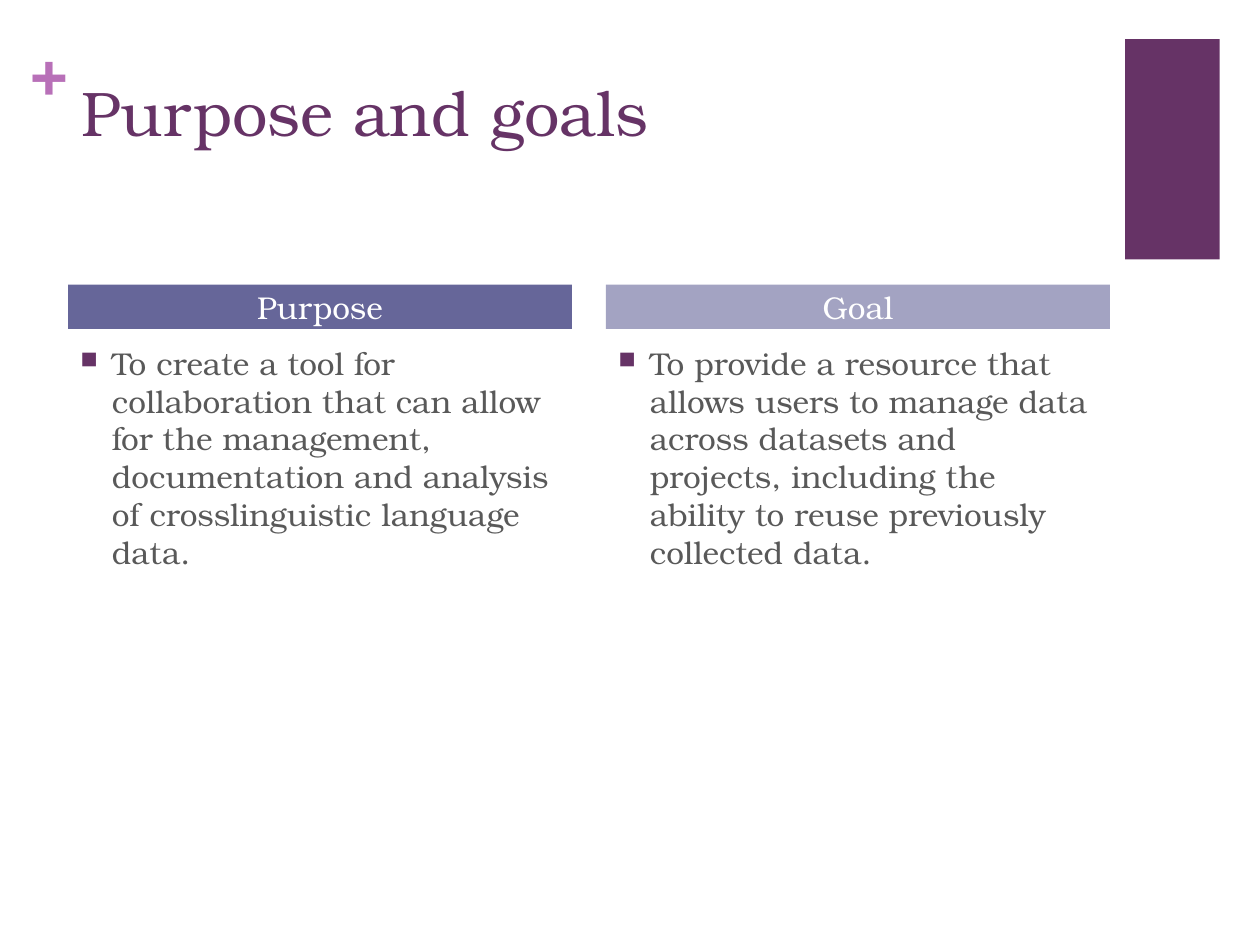
from lxml import etree
from pptx import Presentation
from pptx.dml.color import RGBColor
from pptx.enum.shapes import MSO_SHAPE
from pptx.enum.text import MSO_ANCHOR, MSO_AUTO_SIZE, PP_ALIGN
from pptx.oxml.ns import qn
from pptx.util import Inches, Pt

RECTANGLE = MSO_SHAPE.RECTANGLE
TOP, MIDDLE = MSO_ANCHOR.TOP, MSO_ANCHOR.MIDDLE
LEFT, CENTER = PP_ALIGN.LEFT, PP_ALIGN.CENTER
NO_AUTOFIT = MSO_AUTO_SIZE.NONE

FONT = "TeX Gyre Bonum"
COLORS = {
    "plum": "663366",
    "orchid": "B870B8",
    "slate": "666699",
    "lavender": "A3A3C2",
    "body": "595959",
    "white": "FFFFFF",
}
COLUMNS = [
    ("Purpose", "slate",
     "To create a tool for collaboration that can allow for the management, "
     "documentation and analysis of crosslinguistic language data."),
    ("Goal", "lavender",
     "To provide a resource that allows users to manage data across datasets "
     "and projects, including the ability to reuse previously collected data."),
]
COLUMN_LEFT, COLUMN_TOP = 0.54, 2.26
COLUMN_WIDTH, COLUMN_GAP = 4, 0.27
HEADING_HEIGHT = 0.35
BODY_OFFSET, BODY_HEIGHT = 0.42, 4.02


def rgb(name):
    return RGBColor.from_string(COLORS[name])


def write(frame, text, size, color, align=LEFT, anchor=TOP, bold=False):
    """Fill a text frame with one paragraph and return it."""
    frame.word_wrap = True
    frame.auto_size = NO_AUTOFIT
    frame.vertical_anchor = anchor
    paragraph = frame.paragraphs[0]
    paragraph.text = text
    paragraph.alignment = align
    font = paragraph.font
    font.name, font.size, font.bold = FONT, Pt(size), bold
    font.color.rgb = rgb(color)
    return paragraph


def add_block(slide, left, top, width, height, color):
    block = slide.shapes.add_shape(
        RECTANGLE, Inches(left), Inches(top), Inches(width), Inches(height))
    block.shadow.inherit = False
    block.fill.solid()
    block.fill.fore_color.rgb = rgb(color)
    block.line.fill.background()
    return block


def add_text(slide, left, top, width, height):
    return slide.shapes.add_textbox(
        Inches(left), Inches(top), Inches(width), Inches(height)).text_frame


def add_square_bullet(paragraph):
    paragraph.space_before = Pt(20)
    properties = paragraph._p.get_or_add_pPr()
    properties.set("marL", str(Inches(0.25)))
    properties.set("indent", str(Inches(-0.25)))
    color = etree.SubElement(properties, qn("a:buClr"))
    etree.SubElement(color, qn("a:srgbClr"), val=COLORS["plum"])
    etree.SubElement(properties, qn("a:buSzPct"), val="75000")
    etree.SubElement(properties, qn("a:buChar"), char="■")


def add_decoration(slide):
    add_block(slide, 8.93, 0.31, 0.75, 1.75, "plum")
    plus = add_text(slide, 0.24, 0.25, 0.29, 0.61)
    plus.margin_left = plus.margin_right = 0
    plus.margin_top = plus.margin_bottom = 0
    write(plus, "+", 36, "orchid", bold=True)


def set_title(slide, left, top, width, height):
    title = slide.shapes.title
    title.left, title.top = Inches(left), Inches(top)
    title.width, title.height = Inches(width), Inches(height)
    write(title.text_frame, "Purpose and goals", 36, "plum")


def add_column(slide, left, top, width, heading, color, statement):
    """Place a heading bar with its bulleted statement below."""
    bar = add_block(slide, left, top, width, HEADING_HEIGHT, color).text_frame
    bar.margin_top = bar.margin_bottom = 0
    write(bar, heading, 18, "white", CENTER, MIDDLE)
    body = add_text(slide, left, top + BODY_OFFSET, width, BODY_HEIGHT)
    add_square_bullet(write(body, statement, 18, "body"))


def main():
    deck = Presentation()
    deck.slide_width, deck.slide_height = Inches(10), Inches(7.5)
    slide = deck.slides.add_slide(deck.slide_layouts.get_by_name("Title Only"))
    add_decoration(slide)
    set_title(slide, 0.55, 0.53, 8.26, 1.22)
    for index, column in enumerate(COLUMNS):
        left = COLUMN_LEFT + index * (COLUMN_WIDTH + COLUMN_GAP)
        add_column(slide, left, COLUMN_TOP, COLUMN_WIDTH, *column)
    deck.save("out.pptx")


if __name__ == "__main__":
    main()
